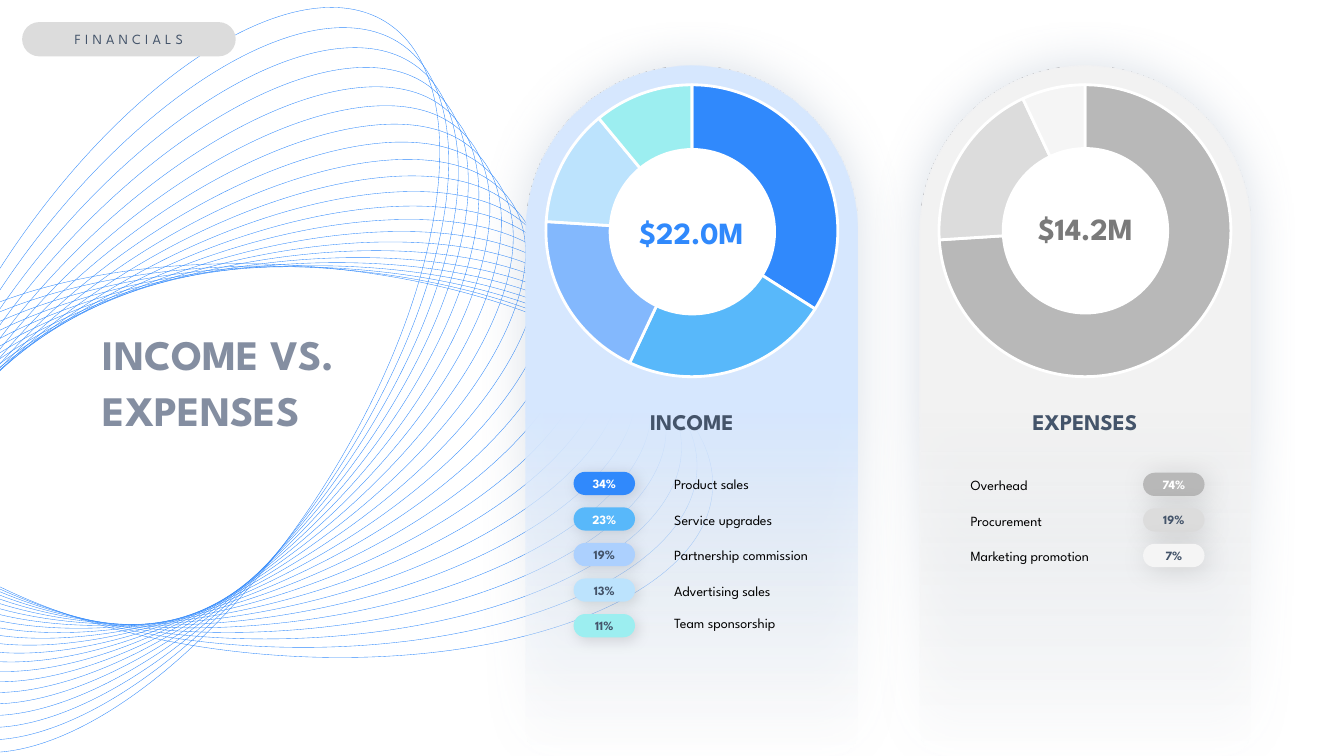
from dataclasses import dataclass
from typing import Any, NamedTuple, Optional

from lxml import etree
from pptx import Presentation
from pptx import util as u
from pptx.chart.data import CategoryChartData
from pptx.dml.color import RGBColor
from pptx.enum import chart as charts, shapes, text
from pptx.oxml.ns import qn

Pt = u.Pt
FONT = "League Spartan"
COLORS = {
    "blue": "3089FC", "sky": "58B8FA", "periwinkle": "83B8FD", "pale periwinkle": "ACD0FE",
    "ice": "BCE3FD", "aqua": "9CEEF0", "mint": "ADF4EA", "gray": "B8B8B8", "silver": "DCDCDC",
    "mist": "F5F5F5", "blue panel": "D6E7FE", "gray panel": "F2F2F2", "slate": "44546A",
    "title": "848EA1", "total gray": "7A7A7A", "halo": "8497B0", "white": "FFFFFF", "black": "000000",
}


class Frame(NamedTuple):
    """Position and size in points."""
    left: float
    top: float
    width: float
    height: float

    def lengths(self) -> list:
        """Return the four values as lengths."""
        return [Pt(value) for value in self]


class Shadow(NamedTuple):
    """Outer shadow settings."""
    color: str
    opacity: int
    blur: float
    distance: float
    angle: int


class Oval(NamedTuple):
    """Centre and two conjugate radii of a tilted ellipse, in points."""
    center_x: float
    center_y: float
    east_x: float
    east_y: float
    south_x: float
    south_y: float

    def place(self, unit: complex) -> tuple:
        """Map a point of the unit circle's plane onto the slide."""
        return (Pt(self.center_x + self.east_x * unit.real + self.south_x * unit.imag),
                Pt(self.center_y + self.east_y * unit.real + self.south_y * unit.imag))


@dataclass
class Row:
    """One legend entry."""
    label: str
    percent: int
    fill: str
    ink: str = "slate"
    lift: float = 0


@dataclass
class Panel:
    """One arched column with its doughnut and legend."""
    caption: str
    total: str
    total_color: str
    left: float
    hole_top: float
    total_at: tuple
    panel_color: str
    slices: list
    values: list
    rows: list
    pill_left: float
    label_left: float
    rows_top: float
    pill_blur: float


FIRST_OVAL = Oval(206.6, 329, 302.4, 21.6, -10, 139)
LAST_OVAL = Oval(114.5, 271.4, 161.3, -255.6, 118, 74.2)
OVALS, ARC_HANDLE, ROW_PITCH = 22, 0.55, 25.4
PANELS = [
    Panel("INCOME", "$22.0M", "blue", 375.8, 105.8, (429.1, 149), "blue panel",
          ["blue", "sky", "periwinkle", "ice", "aqua", "mint"], [34, 23, 19, 13, 11, None],
          [Row("Product sales", 34, "blue", "white"), Row("Service upgrades", 23, "sky", "white"),
           Row("Partnership commission", 19, "pale periwinkle"), Row("Advertising sales", 13, "ice"),
           Row("Team sponsorship", 11, "aqua", lift=2.3)], 409.7, 474.5, 337, 10.6),
    Panel("EXPENSES", "$14.2M", "total gray", 656.6, 105.1, (710.6, 146.2), "gray panel",
          ["gray", "silver", "mist"], [74, 19, 7],
          [Row("Overhead", 74, "gray", "white"), Row("Procurement", 19, "silver"),
           Row("Marketing promotion", 7, "mist")], 816.5, 686.2, 337.7, 19.8),
]


def rgb(name: str) -> RGBColor:
    """Look up a palette colour."""
    return RGBColor.from_string(COLORS[name])


def write(box: Any, words: str, *, size: float, color: str, bold: bool = False, center: bool = False,
          spacing: Optional[float] = None, tracking: float = 0) -> None:
    """Fill a box with one formatted paragraph."""
    para = box.text_frame.paragraphs[0]
    para.alignment = text.PP_ALIGN.CENTER if center else text.PP_ALIGN.LEFT
    if spacing:
        para.line_spacing = Pt(spacing)
    span = para.add_run()
    span.text = words
    span.font.name, span.font.size, span.font.bold = FONT, Pt(size), bold
    span.font.color.rgb = rgb(color)
    if tracking:
        box.element.xpath(".//a:rPr")[0].set("spc", str(int(tracking * 100)))


def add_label(page: Any, frame: Frame, words: str, **style: Any) -> None:
    """Add a wrapping text box."""
    box = page.shapes.add_textbox(*frame.lengths())
    box.text_frame.word_wrap = True
    box.text_frame.auto_size = text.MSO_AUTO_SIZE.SHAPE_TO_FIT_TEXT
    write(box, words, **style)


def add_block(page: Any, kind: Any, frame: Frame, fill: str, shadow: Optional[Shadow] = None) -> Any:
    """Add a borderless filled shape with an optional soft shadow."""
    box = page.shapes.add_shape(kind, *frame.lengths())
    box.fill.solid()
    box.fill.fore_color.rgb = rgb(fill)
    box.line.fill.background()
    box.shadow.inherit = False
    if shadow:
        effects = box.element.xpath(".//a:effectLst")[0]
        outer = etree.SubElement(effects, qn("a:outerShdw"), blurRad=str(Pt(shadow.blur)),
                                 dist=str(Pt(shadow.distance)), dir=str(shadow.angle * 60000),
                                 algn="ctr", rotWithShape="0")
        tint = etree.SubElement(outer, qn("a:srgbClr"), val=COLORS[shadow.color])
        etree.SubElement(tint, qn("a:alpha"), val=str(shadow.opacity * 1000))
    return box


def add_pill(page: Any, frame: Frame, fill: str, words: str, shadow: Optional[Shadow] = None,
             **style: Any) -> None:
    """Add a fully rounded label."""
    box = add_block(page, shapes.MSO_SHAPE.ROUNDED_RECTANGLE, frame, fill, shadow)
    box.adjustments[0] = 0.5
    frame_text = box.text_frame
    frame_text.vertical_anchor = text.MSO_ANCHOR.MIDDLE
    frame_text.margin_left = frame_text.margin_right = frame_text.margin_top = frame_text.margin_bottom = 0
    write(box, words, center=True, **style)


def add_waves(page: Any) -> None:
    """Draw the family of ellipses that turns from the first to the last."""
    quarter = [complex(1, ARC_HANDLE), complex(ARC_HANDLE, 1), 1j]
    circle = [unit * 1j ** turn for turn in range(4) for unit in quarter]
    group = page.shapes.add_group_shape()
    for index in range(OVALS):
        share = index / (OVALS - 1)
        oval = Oval(*(a + (b - a) * share for a, b in zip(FIRST_OVAL, LAST_OVAL)))
        builder = group.shapes.build_freeform(*oval.place(1 + 0j))
        builder.add_line_segments([oval.place(unit) for unit in circle], close=True)
        wave = builder.convert_to_shape()
        sides = wave.element.xpath(".//a:lnTo")
        for first in range(0, len(sides), 3):
            curve = etree.Element(qn("a:cubicBezTo"))
            sides[first].addprevious(curve)
            for side in sides[first:first + 3]:
                curve.append(side[0])
                side.getparent().remove(side)
        wave.fill.background()
        wave.line.color.rgb = rgb("blue")
        wave.line.width = Pt(0.25)
        wave.shadow.inherit = False


def add_doughnut(page: Any, panel: Panel) -> None:
    """Add the doughnut chart of a panel."""
    data = CategoryChartData()
    data.categories = [str(number + 1) for number in range(len(panel.values))]
    data.add_series("Series 1", panel.values)
    frame = Frame(panel.left - 7.2, 51.1, 251.3, 227.5)
    chart = page.shapes.add_chart(charts.XL_CHART_TYPE.DOUGHNUT, *frame.lengths(), data).chart
    chart.has_legend = chart.has_title = False
    chart.font.name, chart.font.size = "Calibri", Pt(10)
    chart.font.color.rgb = rgb("black")
    plot = chart.plots[0]
    plot.vary_by_categories = True
    for index, color in enumerate(panel.slices):
        style = plot.series[0].points[index].format
        style.fill.solid()
        style.fill.fore_color.rgb = rgb(color)
        style.line.color.rgb = rgb("white")
        style.line.width = Pt(2)
    area = chart.element.xpath(".//c:plotArea")[0]
    area.xpath(".//c:holeSize")[0].set("val", "72")
    for old in area.xpath("./c:layout"):
        area.remove(old)
    layout = etree.Element(qn("c:layout"))
    area.insert(0, layout)
    manual = etree.SubElement(layout, qn("c:manualLayout"))
    settings = {"layoutTarget": "inner", "xMode": "edge", "yMode": "edge",
                "x": "0.085", "y": "0.04", "w": "0.83", "h": "0.92"}
    for tag, value in settings.items():
        etree.SubElement(manual, qn("c:" + tag), val=value)


def add_panel(page: Any, panel: Panel) -> None:
    """Draw a whole panel."""
    arch = add_block(page, shapes.MSO_SHAPE.ROUND_2_SAME_RECTANGLE, Frame(panel.left, 46.8, 236.9, 493.2),
                     panel.panel_color, Shadow("halo", 30, 35, 0, 90))
    arch.adjustments[0], arch.adjustments[1] = 0.5, 0.08
    arch.fill.gradient()
    arch.fill.gradient_angle = 270
    for stop, color, position in zip(arch.fill.gradient_stops, (panel.panel_color, "mist"), (0.5, 1)):
        stop.color.rgb, stop.position = rgb(color), position
    etree.SubElement(arch.element.xpath(".//a:gs/a:srgbClr")[-1], qn("a:alpha"), val="0")
    add_doughnut(page, panel)
    add_label(page, Frame(panel.left + 69.8, 288, 97.2, 26.6), panel.caption,
              size=16, color="slate", bold=True, center=True)
    for index, row in enumerate(panel.rows):
        top = panel.rows_top + index * ROW_PITCH
        add_label(page, Frame(panel.label_left, top - 0.7 - row.lift, 140, 19.4), row.label,
                  size=10, color="black")
        add_pill(page, Frame(panel.pill_left, top, 43.9, 16.6), row.fill, f"{row.percent}%",
                 Shadow("black", 12, panel.pill_blur, 3, 45), size=9, color=row.ink, bold=True)
    add_block(page, shapes.MSO_SHAPE.OVAL, Frame(panel.left + 59, panel.hole_top, 119.5, 119.5), "white")
    add_label(page, Frame(*panel.total_at, 129.6, 33.8), panel.total,
              size=22, color=panel.total_color, bold=True, center=True)


def main() -> None:
    """Build and save the deck."""
    deck = Presentation()
    deck.slide_width, deck.slide_height = Pt(960), Pt(540)
    page = deck.slides.add_slide(deck.slide_layouts[5])
    add_waves(page)
    title = page.shapes.title
    title.left, title.top, title.width, title.height = Frame(66.2, 226.8, 272.2, 84.2).lengths()
    title.text_frame.word_wrap = True
    title.text_frame.auto_size = text.MSO_AUTO_SIZE.SHAPE_TO_FIT_TEXT
    title.text_frame.vertical_anchor = text.MSO_ANCHOR.TOP
    write(title, "INCOME VS. EXPENSES", size=30, color="title", bold=True, spacing=40)
    for panel in PANELS:
        add_panel(page, panel)
    add_pill(page, Frame(15.8, 15.8, 152.6, 24.5), "silver", "FINANCIALS",
             size=10, color="slate", tracking=3)
    deck.save("out.pptx")


if __name__ == "__main__":
    main()
